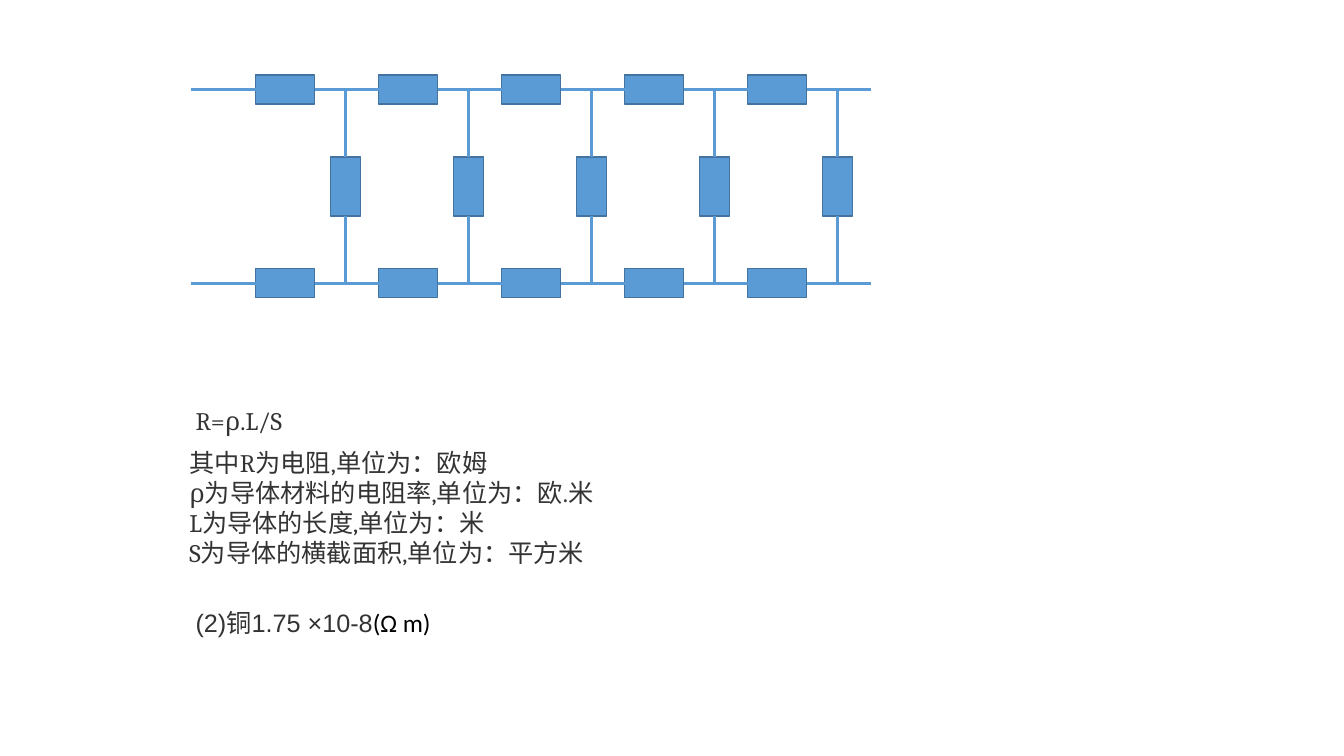
from dataclasses import dataclass
from typing import NamedTuple

from lxml import etree
from pptx import Presentation, util as u
from pptx.dml.color import RGBColor
from pptx.enum import shapes, text
from pptx.oxml.ns import qn


@dataclass(frozen=True)
class Theme:
    fill: str = "5B9BD5"
    edge: str = "43739E"
    ink: str = "333333"
    black: str = "000000"
    size: int = 18
    wire: int = 2
    border: int = 1


class Box(NamedTuple):
    col: float
    row: float
    wide: float
    high: float


class Point(NamedTuple):
    col: float
    row: float


class Pin(NamedTuple):
    part: object
    side: int


class Run(NamedTuple):
    words: str
    font: str
    color: str


class Note(NamedTuple):
    box: Box
    runs: tuple
    wrap: bool


THEME = Theme()
LEFT, TOP = 1.89, 0.89
COL, ROW = 1.22, 0.96
CELLS = 5
RAILS = (0, 2)
SERIES, SHUNT, END = 0.77, 1.26, 5.53
TOP_SIDE, LEFT_SIDE, LOW_SIDE, RIGHT_SIDE = range(4)

LAW = "R=ρ.L/S"
TERMS = """其中R为电阻,单位为：欧姆
ρ为导体材料的电阻率,单位为：欧.米
L为导体的长度,单位为：米
S为导体的横截面积,单位为：平方米"""

NOTES = (
    Note(Box(-0.04, 3.21, 0.99, 0.42), (Run(LAW, "Cambria", THEME.ink),), False),
    Note(Box(-0.09, 3.64, 5.47, 1.36), (Run(TERMS, "Cambria", THEME.ink),), True),
    Note(
        Box(-0.04, 5.3, 2.23, 0.42),
        (
            Run("(2)铜1.75 ×10-8", "Arial", THEME.ink),
            Run("(Ω m)", "Calibri", THEME.black),
        ),
        False,
    ),
)


def spot(point: Point) -> tuple:
    return u.Inches(LEFT + point.col * COL), u.Inches(TOP + point.row * ROW)


def frame(box: Box) -> tuple:
    return *spot(Point(box.col, box.row)), u.Inches(box.wide * COL), u.Inches(box.high * ROW)


def block(group, mid: Point, wide: float, high: float):
    box = Box(mid.col - wide / 2, mid.row - high / 2, wide, high)
    part = group.shapes.add_shape(shapes.MSO_SHAPE.RECTANGLE, *frame(box))
    part.shadow.inherit = False
    part.fill.solid()
    part.fill.fore_color.rgb = RGBColor.from_string(THEME.fill)
    part.line.color.rgb = RGBColor.from_string(THEME.edge)
    part.line.width = u.Pt(THEME.border)
    return part


def place(end) -> tuple:
    if isinstance(end, Point):
        return spot(end)
    part, side = end
    across = {LEFT_SIDE: 0, RIGHT_SIDE: part.width}.get(side, part.width // 2)
    down = {TOP_SIDE: 0, LOW_SIDE: part.height}.get(side, part.height // 2)
    return part.left + across, part.top + down


def wire(group, start, stop) -> None:
    line = group.shapes.add_connector(
        shapes.MSO_CONNECTOR.STRAIGHT, *place(start), *place(stop)
    )
    line.line.color.rgb = RGBColor.from_string(THEME.fill)
    line.line.width = u.Pt(THEME.wire)
    etree.SubElement(line._element.spPr, qn("a:effectLst"))
    if isinstance(start, Pin):
        line.begin_connect(*start)
    if isinstance(stop, Pin):
        line.end_connect(*stop)


def rail(group, row: int) -> None:
    last = Point(0, row)
    for i in range(CELLS):
        part = block(group, Point(SERIES + i, row), 0.48, 0.3)
        wire(group, last, Pin(part, LEFT_SIDE))
        last = Pin(part, RIGHT_SIDE)
    wire(group, last, Point(END, row))


def rung(group, col: float) -> None:
    part = block(group, Point(col, 1), 0.24, 0.61)
    wire(group, Pin(part, TOP_SIDE), Point(col, RAILS[0]))
    wire(group, Point(col, RAILS[1]), Pin(part, LOW_SIDE))


def write(slide, box: Box, *, runs: tuple, wrap: bool, size: int = THEME.size) -> None:
    body = slide.shapes.add_textbox(*frame(box)).text_frame
    body.word_wrap = wrap
    body.auto_size = text.MSO_AUTO_SIZE.SHAPE_TO_FIT_TEXT
    para = body.paragraphs[0]
    for run in runs:
        for i, words in enumerate(run.words.splitlines()):
            if i:
                para.add_line_break()
            piece = para.add_run()
            piece.text = words
            piece.font.name = run.font
            piece.font.size = u.Pt(size)
            piece.font.color.rgb = RGBColor.from_string(run.color)


def main() -> None:
    deck = Presentation()
    deck.slide_width, deck.slide_height = u.Inches(13.33), u.Inches(7.5)
    slide = deck.slides.add_slide(deck.slide_layouts[6])
    ladder = slide.shapes.add_group_shape()
    for row in RAILS:
        rail(ladder, row)
    for i in range(CELLS):
        rung(ladder, SHUNT + i)
    for note in NOTES:
        write(slide, note.box, runs=note.runs, wrap=note.wrap)
    deck.save("out.pptx")


if __name__ == "__main__":
    main()
